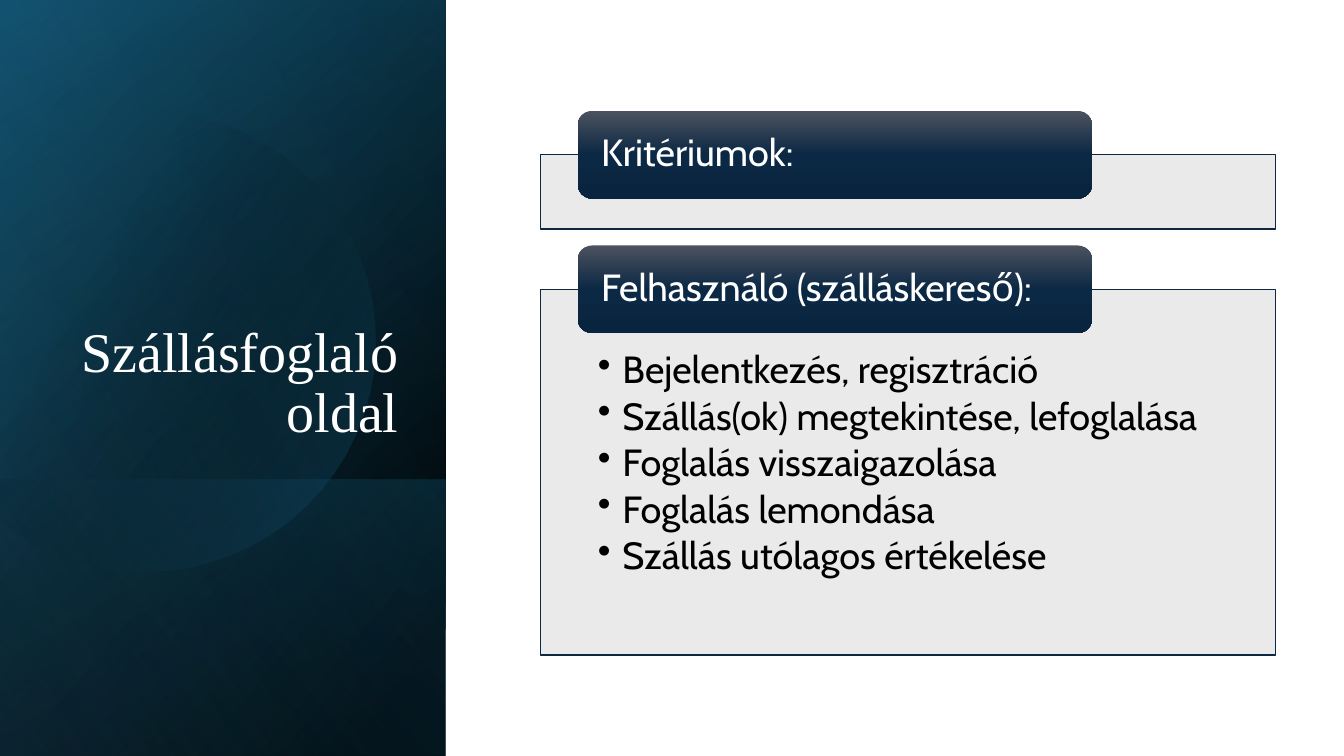
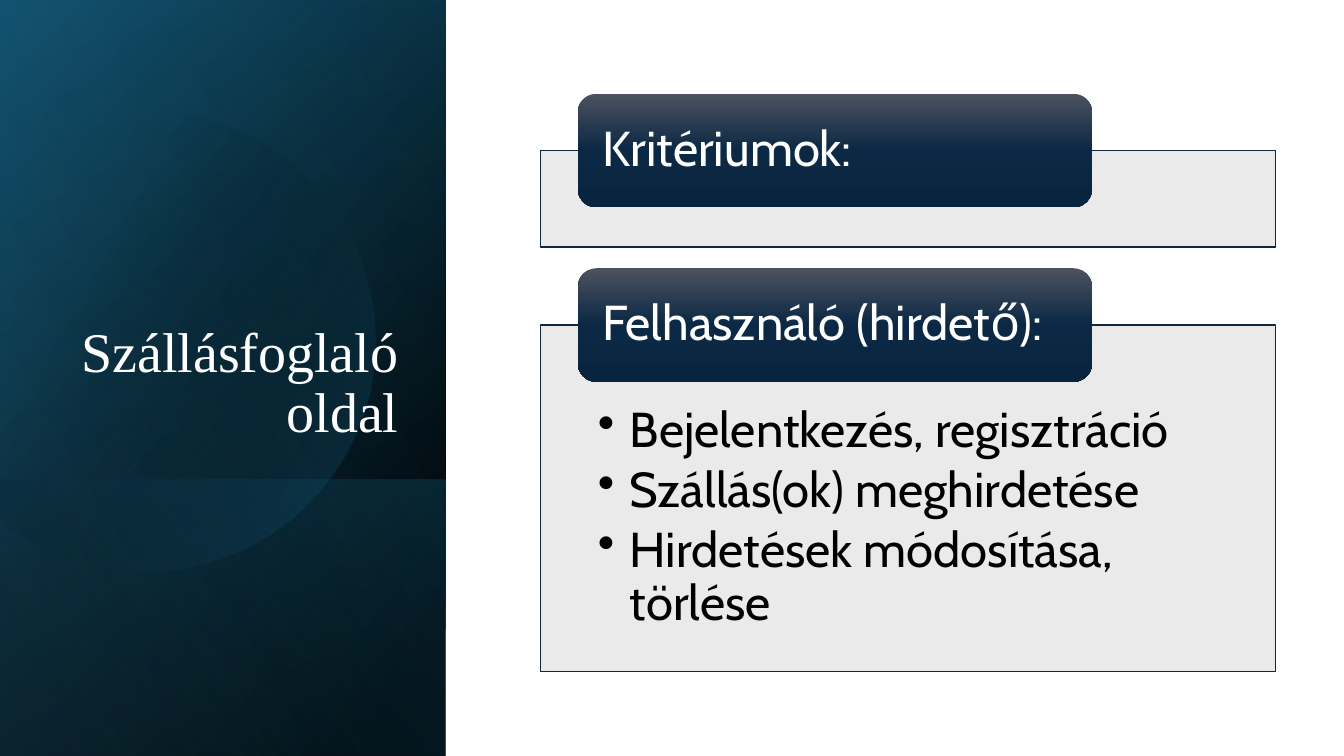
from lxml.etree import SubElement
from pptx import Presentation
from pptx.dml.color import RGBColor
from pptx.enum.shapes import MSO_SHAPE
from pptx.enum.text import MSO_ANCHOR, PP_ALIGN
from pptx.oxml.ns import qn
from pptx.util import Inches, Pt

BLACK = RGBColor(0x00, 0x00, 0x00)
WHITE = RGBColor(0xFF, 0xFF, 0xFF)
TEAL = RGBColor(0x15, 0x60, 0x82)
DEEP_TEAL = RGBColor(0x10, 0x48, 0x62)
SKY = RGBColor(0x46, 0xB1, 0xE1)
NAVY = RGBColor(0x0E, 0x28, 0x41)
PANEL_GREY = RGBColor(0xE8, 0xE8, 0xE8)
TAB_STOPS = [
    (0, RGBColor(0x4C, 0x52, 0x5F), 100),
    (50, RGBColor(0x0B, 0x28, 0x44), 100),
    (100, RGBColor(0x08, 0x24, 0x3E), 100),
]

TITLE_FONT = "Times New Roman"
BODY_FONT = "Cabin"
BAND_WIDTH = Inches(4.42)
PAGE_WIDTH = Inches(13.33)
PAGE_HEIGHT = Inches(7.5)

BAND_LAYERS = [
    (0, [(8, BLACK, 100), (100, DEEP_TEAL, 100)], 50),
    (0, [(0, BLACK, 0), (99, TEAL, 46)], 30),
    (Inches(4.76), [(2, TEAL, 29), (100, BLACK, 30)], 130),
]
GLOW_LAYER = (0, [(0, BLACK, 0), (99, SKY, 11)], 120)

DISC_START = (1.49, 1.1)
DISC_CURVES = [
    ((2.46, 1.12), (3.35, 1.77), (3.63, 2.75)),
    ((3.98, 3.97), (3.28, 5.23), (2.07, 5.58)),
    ((1.31, 5.8), (0.53, 5.61), (0, 5.16)),
    ((0, 5.16), (0, 1.61), (0, 1.61)),
    ((0.23, 1.42), (0.5, 1.28), (0.8, 1.19)),
    ((1.03, 1.13), (1.26, 1.1), (1.49, 1.1)),
]
DISC_STOPS = [(29, BLACK, 0), (100, TEAL, 43)]
CURVE_STEPS = 16

PAGES = [
    {
        "size": 27,
        "top": 1.1,
        "list_height": 3.63,
        "user": "Felhasználó (szálláskereső):",
        "items": [
            "Bejelentkezés, regisztráció",
            "Szállás(ok) megtekintése, lefoglalása",
            "Foglalás visszaigazolása",
            "Foglalás lemondása",
            "Szállás utólagos értékelése",
        ],
    },
    {
        "size": 35,
        "top": 0.93,
        "list_height": 3.44,
        "user": "Felhasználó (hirdető):",
        "items": [
            "Bejelentkezés, regisztráció",
            "Szállás(ok) meghirdetése",
            "Hirdetések módosítása, törlése",
        ],
    },
]


def set_alpha(color_element, percent):
    SubElement(color_element, qn("a:alpha")).set("val", str(percent * 1000))


def paint_gradient(shape, stops, angle):
    shape.shadow.inherit = False
    shape.line.fill.background()
    shape.fill.gradient()
    gradient = shape.element.spPr.find(qn("a:gradFill"))
    for child in list(gradient):
        gradient.remove(child)
    gradient.set("rotWithShape", "1")
    stop_list = SubElement(gradient, qn("a:gsLst"))
    for position, color, opacity in stops:
        stop = SubElement(stop_list, qn("a:gs"))
        stop.set("pos", str(position * 1000))
        color_element = SubElement(stop, qn("a:srgbClr"))
        color_element.set("val", str(color))
        if opacity < 100:
            set_alpha(color_element, opacity)
    linear = SubElement(gradient, qn("a:lin"))
    linear.set("ang", str(angle * 60000))
    linear.set("scaled", "0")


def add_band_layer(page, top, stops, angle):
    height = PAGE_HEIGHT - top
    left = (BAND_WIDTH - height) // 2
    turned_top = top + (height - BAND_WIDTH) // 2
    layer = page.shapes.add_shape(
        MSO_SHAPE.RECTANGLE, left, turned_top, height, BAND_WIDTH
    )
    layer.rotation = 90
    layer.element.spPr.find(qn("a:xfrm")).set("flipH", "1")
    paint_gradient(layer, stops, angle)


def curve_points(start, first, second, end):
    for step in range(1, CURVE_STEPS + 1):
        t = step / CURVE_STEPS
        u = 1 - t
        yield tuple(
            Inches(u**3 * a + 3 * u * u * t * b + 3 * u * t * t * c + t**3 * d)
            for a, b, c, d in zip(start, first, second, end)
        )


def add_disc(page):
    points = []
    start = DISC_START
    for first, second, end in DISC_CURVES:
        points.extend(curve_points(start, first, second, end))
        start = end
    builder = page.shapes.build_freeform(*(Inches(value) for value in DISC_START))
    builder.add_line_segments(points, close=True)
    paint_gradient(builder.convert_to_shape(), DISC_STOPS, 30)


def add_span(para, text, font, size, color):
    span = para.add_run()
    span.text = text
    span.font.name = font
    span.font.size = Pt(size)
    span.font.color.rgb = color
    para.line_spacing = 0.9


def add_title_band(page, title):
    for layer in BAND_LAYERS:
        add_band_layer(page, *layer)
    add_disc(page)
    add_band_layer(page, *GLOW_LAYER)
    box = page.shapes.add_textbox(
        Inches(0.64), Inches(1.84), Inches(3.41), Inches(2.62)
    )
    frame = box.text_frame
    frame.word_wrap = True
    frame.vertical_anchor = MSO_ANCHOR.BOTTOM
    para = frame.paragraphs[0]
    para.alignment = PP_ALIGN.RIGHT
    add_span(para, title, TITLE_FONT, 40, WHITE)


def fill_list(panel, items, size):
    frame = panel.text_frame
    frame.word_wrap = True
    frame.vertical_anchor = MSO_ANCHOR.TOP
    frame.margin_left = frame.margin_right = Inches(0.57)
    frame.margin_top = Pt(size * 1.63)
    frame.margin_bottom = Pt(size * 0.55)
    indent = Pt(size * 0.65)
    for index, item in enumerate(items):
        para = frame.add_paragraph() if index else frame.paragraphs[0]
        para.alignment = PP_ALIGN.LEFT
        para.space_after = Pt(size * 0.15)
        add_span(para, item, BODY_FONT, size, BLACK)
        properties = para._p.get_or_add_pPr()
        properties.set("marL", str(indent))
        properties.set("indent", str(-indent))
        SubElement(properties, qn("a:buChar")).set("char", "•")


def add_section(page, left, top, width, height, heading, items, size):
    tab_height = Pt(size * 2.32)
    panel = page.shapes.add_shape(
        MSO_SHAPE.RECTANGLE, left, top + tab_height // 2, width, height
    )
    panel.shadow.inherit = False
    panel.fill.solid()
    panel.fill.fore_color.rgb = PANEL_GREY
    set_alpha(panel.element.spPr.find(qn("a:solidFill"))[0], 90)
    panel.line.color.rgb = NAVY
    panel.line.width = Pt(1)
    if items:
        fill_list(panel, items, size)

    tab = page.shapes.add_shape(
        MSO_SHAPE.ROUNDED_RECTANGLE,
        left + Inches(0.37), top, int(width * 0.7), tab_height,
    )
    paint_gradient(tab, TAB_STOPS, 90)
    frame = tab.text_frame
    frame.word_wrap = True
    frame.vertical_anchor = MSO_ANCHOR.MIDDLE
    frame.margin_left = frame.margin_right = Inches(0.19)
    frame.margin_top = frame.margin_bottom = 0
    para = frame.paragraphs[0]
    para.alignment = PP_ALIGN.LEFT
    add_span(para, heading, BODY_FONT, size, WHITE)
    return panel.top + panel.height


def add_criteria_page(deck, size, top, list_height, user, items):
    page = deck.slides.add_slide(deck.slide_layouts[6])
    add_title_band(page, "Szállásfoglaló oldal")
    left, width = Inches(5.36), Inches(7.29)
    bottom = add_section(
        page, left, Inches(top), width, Pt(size * 1.97), "Kritériumok:", [], size
    )
    add_section(
        page, left, bottom + Pt(size * 0.43), width, Inches(list_height),
        user, items, size,
    )


def main():
    deck = Presentation()
    deck.slide_width = PAGE_WIDTH
    deck.slide_height = PAGE_HEIGHT
    for content in PAGES:
        add_criteria_page(deck, **content)
    deck.save("out.pptx")


if __name__ == "__main__":
    main()
